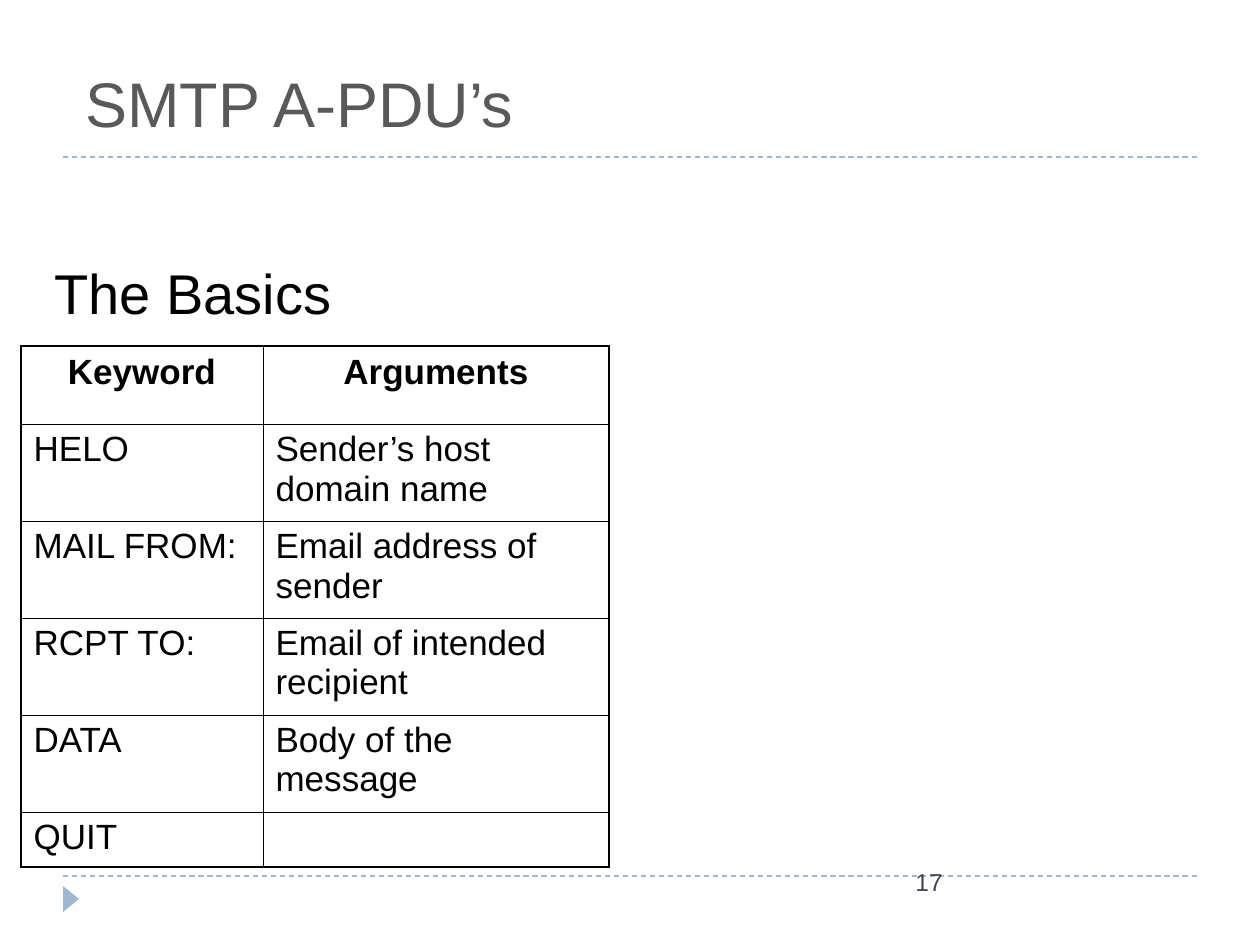
from lxml import etree
from pptx import Presentation
from pptx.dml.color import RGBColor
from pptx.enum.dml import MSO_LINE
from pptx.enum.shapes import MSO_CONNECTOR, MSO_SHAPE
from pptx.enum.text import MSO_ANCHOR, PP_ALIGN
from pptx.oxml.ns import qn
from pptx.util import Emu, Pt

DASH = MSO_LINE.DASH
STRAIGHT = MSO_CONNECTOR.STRAIGHT
TRIANGLE = MSO_SHAPE.ISOSCELES_TRIANGLE
TOP, BOTTOM = MSO_ANCHOR.TOP, MSO_ANCHOR.BOTTOM
LEFT, CENTER = PP_ALIGN.LEFT, PP_ALIGN.CENTER

COLORS = {"accent": "9FB8CD", "title": "595959", "text": "000000", "number": "464653"}
OUTER, INNER = 1.08, 0.45
ROWS = [
    ("Keyword", "Arguments"),
    ("HELO", "Sender’s host domain name"),
    ("MAIL FROM:", "Email address of sender"),
    ("RCPT TO:", "Email of intended recipient"),
    ("DATA", "Body of the message"),
    ("QUIT", ""),
]


def px(n):
    return Emu(round(n * 914400 / 126))


def rgb(name):
    return RGBColor.from_string(COLORS[name])


class SlideBuilder:
    font = "Arial"

    def __init__(self, s):
        self.s = s

    def add_run(self, tf, text, size, color, align=LEFT, bold=False):
        p = tf.paragraphs[0]
        p.alignment = align
        r = p.add_run()
        r.text = text
        values = {"name": self.font, "size": Pt(size), "bold": bold}
        for key, value in values.items():
            setattr(r.font, key, value)
        r.font.color.rgb = rgb(color)

    def text(self, x, y, w, h, text, size, color, anchor=TOP):
        tf = self.s.shapes.add_textbox(px(x), px(y), px(w), px(h)).text_frame
        tf.word_wrap = True
        tf.vertical_anchor = anchor
        self.add_run(tf, text, size, color)

    def rule(self, x1, x2, y):
        line = self.s.shapes.add_connector(STRAIGHT, px(x1), px(y), px(x2), px(y))
        line.line.color.rgb = rgb("accent")
        line.line.width = Pt(0.75)
        line.line.dash_style = DASH
        etree.SubElement(line._element.spPr, qn("a:effectLst"))

    def triangle(self, x, y, w, h, rotation):
        sp = self.s.shapes.add_shape(TRIANGLE, px(x), px(y), px(w), px(h))
        sp.rotation = rotation
        sp.shadow.inherit = False
        sp.fill.solid()
        sp.fill.fore_color.rgb = rgb("accent")
        sp.line.fill.background()

    def borders(self, cell, widths):
        tcPr = cell._tc.get_or_add_tcPr()
        for side, width in widths.items():
            ln = etree.SubElement(tcPr, qn(f"a:ln{side}"), w=str(Pt(width)))
            fill = etree.SubElement(ln, qn("a:solidFill"))
            etree.SubElement(fill, qn("a:srgbClr"), val=COLORS["text"])

    def table(self, x, y, widths, heights, rows, size):
        last_row, last_col = len(rows) - 1, len(widths) - 1
        table = self.s.shapes.add_table(
            len(rows), len(widths), px(x), px(y), px(sum(widths)), px(sum(heights))
        ).table
        table.first_row = table.horz_banding = False
        for col, width in zip(table.columns, widths):
            col.width = px(width)
        for i, (row, height) in enumerate(zip(rows, heights)):
            table.rows[i].height = px(height)
            for j, text in enumerate(row):
                cell = table.cell(i, j)
                edges = {"L": j == 0, "R": j == last_col, "T": i == 0, "B": i == last_row}
                self.borders(cell, {k: OUTER if v else INNER for k, v in edges.items()})
                cell.fill.background()
                if text:
                    header = i == 0
                    align = CENTER if header else LEFT
                    self.add_run(cell.text_frame, text, size, "text", align, header)


def main():
    prs = Presentation()
    prs.slide_width, prs.slide_height = px(1260), px(945)
    b = SlideBuilder(prs.slides.add_slide(prs.slide_layouts[6]))

    for y in (876, 157):
        b.rule(63, 1197, y)
    b.triangle(58, 891, 26, 16, 90)
    b.text(903, 861, 294, 65, "17", 14, "number")
    b.text(73, 42, 1074, 104, "SMTP A-PDU’s", 36, "title", BOTTOM)
    b.text(42, 252, 514, 84, "The Basics", 32, "text")
    b.table(21, 346, [242, 346], [78] + [97] * 4 + [55], ROWS, 20)

    prs.save("out.pptx")


if __name__ == "__main__":
    main()
